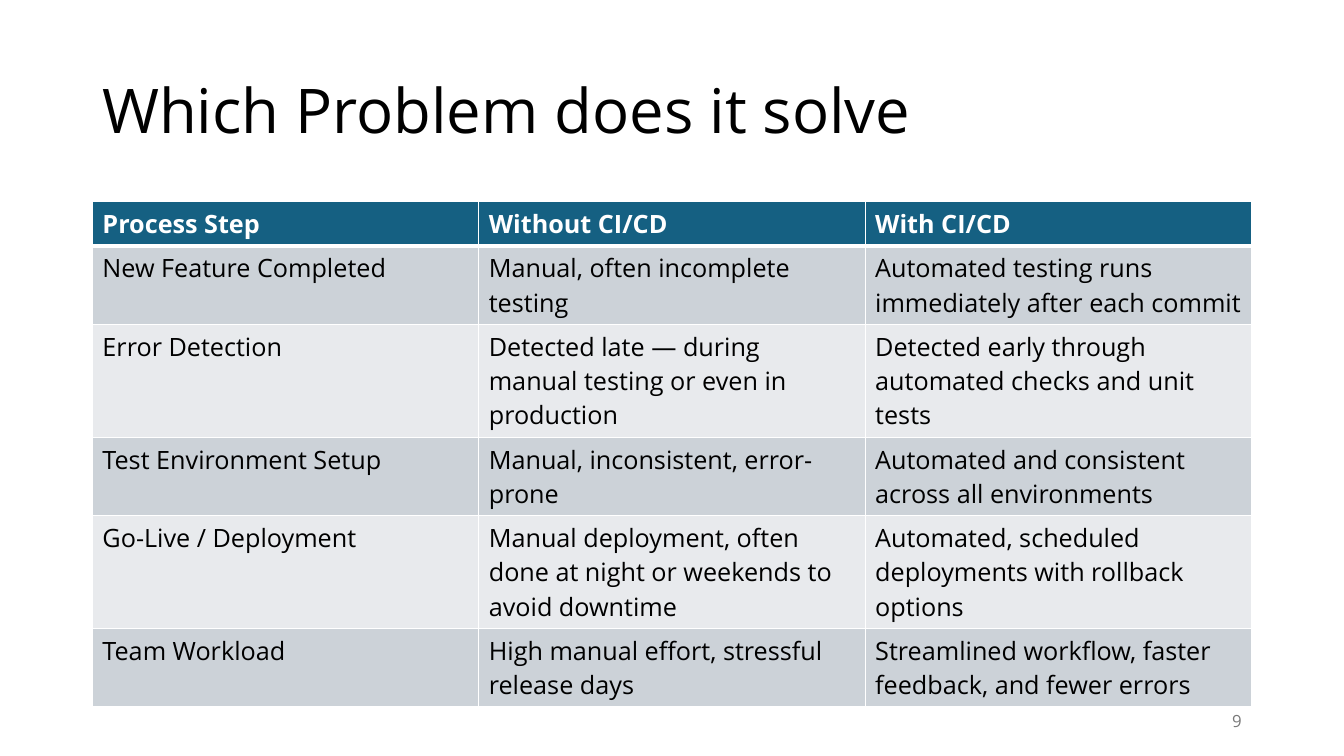
from lxml import etree
from pptx import Presentation
from pptx.dml.color import RGBColor
from pptx.enum.text import MSO_ANCHOR, PP_ALIGN
from pptx.oxml.ns import qn
from pptx.util import Pt

LEFT, RIGHT = PP_ALIGN.LEFT, PP_ALIGN.RIGHT
TOP, MIDDLE = MSO_ANCHOR.TOP, MSO_ANCHOR.MIDDLE
FONT = "Open Sans"
COLORS = {
    "text": "000000",
    "white": "FFFFFF",
    "header": "156082",
    "band_dark": "CCD2D8",
    "band_light": "E8EAED",
    "number": "797979",
}
ROWS = [
    ("Process Step", "Without CI/CD", "With CI/CD"),
    ("New Feature Completed", "Manual, often incomplete testing",
     "Automated testing runs immediately after each commit"),
    ("Error Detection", "Detected late — during manual testing or even in production",
     "Detected early through automated checks and unit tests"),
    ("Test Environment Setup", "Manual, inconsistent, error-prone",
     "Automated and consistent across all environments"),
    ("Go-Live / Deployment",
     "Manual deployment, often done at night or weekends to avoid downtime",
     "Automated, scheduled deployments with rollback options"),
    ("Team Workload", "High manual effort, stressful release days",
     "Streamlined workflow, faster feedback, and fewer errors"),
]
ROW_LINES = [1, 2, 3, 2, 3, 2]
LINE_HEIGHT = 24.5
CELL_PADDING = 7.1


def rgb(name):
    return RGBColor.from_string(COLORS[name])


def write(tf, text, size=18, color="text", bold=False, align=LEFT, spacing=None):
    tf.word_wrap = True
    p = tf.paragraphs[0]
    p.alignment = align
    p.line_spacing = spacing
    r = p.add_run()
    r.text = text
    r.font.name = FONT
    r.font.size = Pt(size)
    r.font.bold = bold
    r.font.color.rgb = rgb(color)


def add_text(s, box, text, **style):
    tf = s.shapes.add_textbox(*map(Pt, box)).text_frame
    tf.vertical_anchor = MIDDLE
    write(tf, text, **style)


def set_borders(cell, bottom):
    tcPr = cell._tc.get_or_add_tcPr()
    widths = {"a:lnL": 1, "a:lnR": 1, "a:lnT": 1, "a:lnB": bottom}
    for i, (tag, width) in enumerate(widths.items()):
        ln = etree.Element(qn(tag), w=str(Pt(width)))
        fill = etree.SubElement(ln, qn("a:solidFill"))
        etree.SubElement(fill, qn("a:srgbClr"), val=COLORS["white"])
        tcPr.insert(i, ln)


def add_comparison(s, x, y, w):
    heights = [CELL_PADDING + LINE_HEIGHT * lines for lines in ROW_LINES]
    box = map(Pt, (x, y, w, sum(heights)))
    table = s.shapes.add_table(len(ROWS), len(ROWS[0]), *box).table
    for column in table.columns:
        column.width = Pt(w / len(ROWS[0]))
    for i, row in enumerate(ROWS):
        header = i == 0
        banded = i % 2 == 1
        fill = "header" if header else "band_dark" if banded else "band_light"
        table.rows[i].height = Pt(heights[i])
        for j, text in enumerate(row):
            cell = table.cell(i, j)
            cell.fill.solid()
            cell.fill.fore_color.rgb = rgb(fill)
            cell.vertical_anchor = MIDDLE if banded and j == 2 else TOP
            set_borders(cell, bottom=3 if header else 1)
            write(cell.text_frame, text, color="white" if header else "text", bold=header)


def build_slide(prs):
    s = prs.slides.add_slide(prs.slide_layouts[6])
    add_text(s, (66, 28.75, 828, 104.4), "Which Problem does it solve", size=44, spacing=0.9)
    add_comparison(s, 66, 144, 828)
    add_text(s, (678, 500.5, 216, 28.75), "9", size=12, color="number", align=RIGHT)


def main():
    prs = Presentation()
    prs.slide_width, prs.slide_height = Pt(960), Pt(540)
    build_slide(prs)
    prs.save("out.pptx")


if __name__ == "__main__":
    main()
